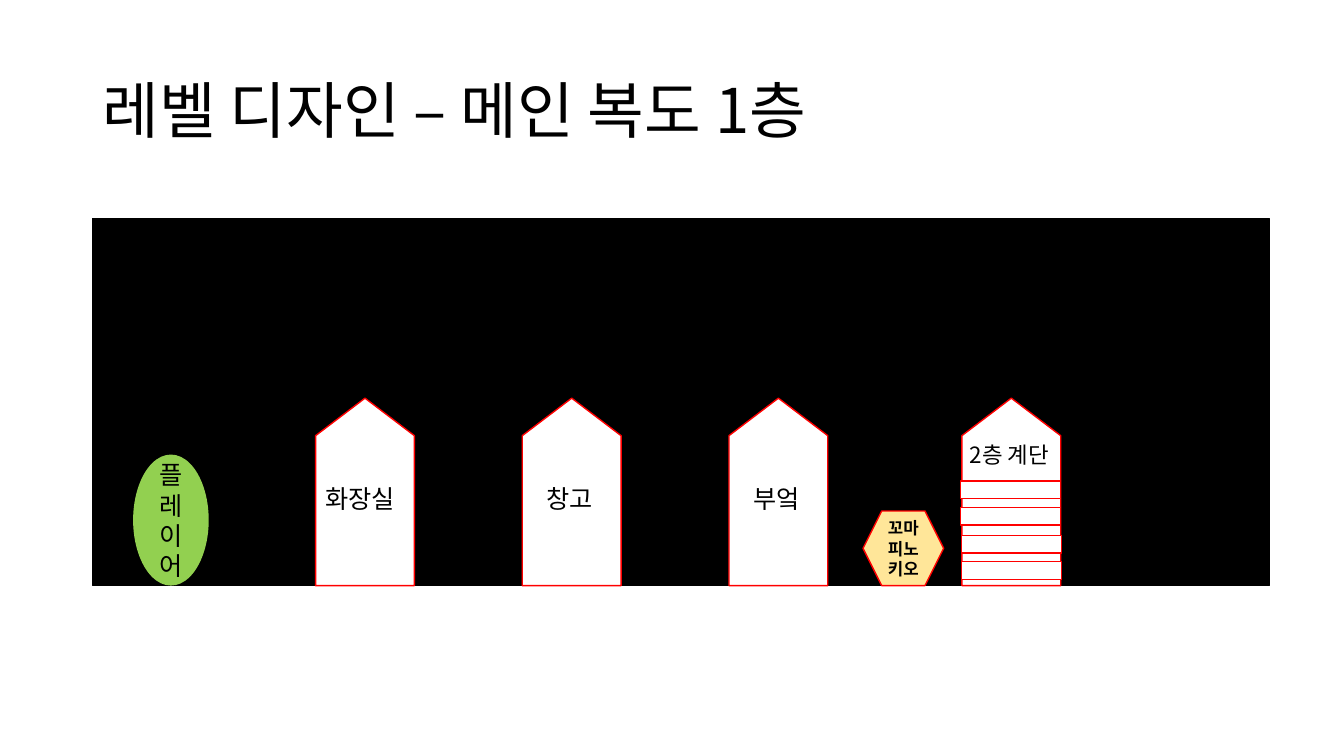
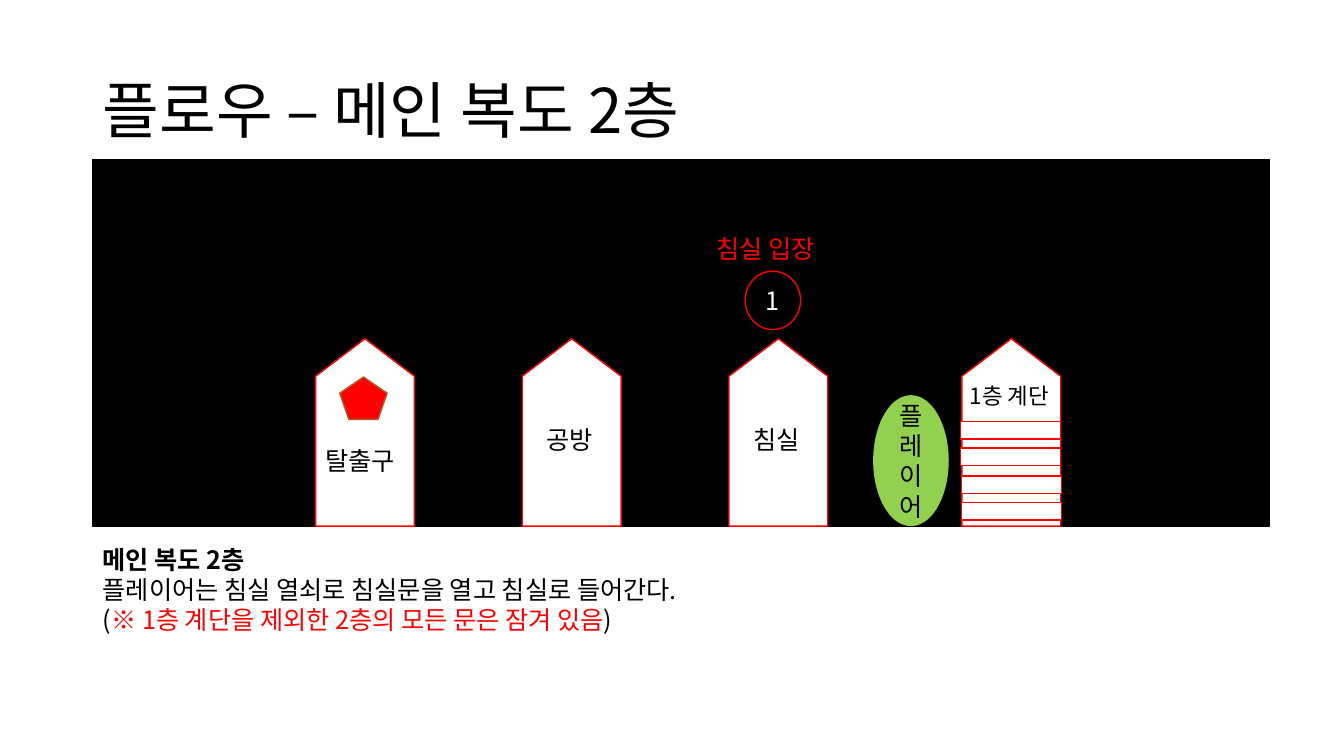
from lxml.etree import SubElement
from pptx import Presentation
from pptx.dml.color import RGBColor
from pptx.enum.shapes import MSO_SHAPE as Shape
from pptx.enum.text import MSO_ANCHOR as Anchor, PP_ALIGN as Align
from pptx.oxml.ns import qn
from pptx.util import Inches, Pt

FONT = "Noto Sans CJK KR"
COLORS = {
    "black": "000000",
    "white": "FFFFFF",
    "red": "FF0000",
    "player": "92D050",
    "character": "FFE699",
    "brown": "AF5C24",
}

# Layout shared by both corridors; heights are measured from the corridor top
DOOR_LEFTS = [3.13, 5.18, 7.23, 9.54]
DOOR_TOP, DOOR_WIDTH, DOOR_HEIGHT = 1.78, 0.98, 1.86
LABEL_LEFTS = [3.13, 5.32, 7.37]
STEPS = [(9.36, 2.99), (9.35, 2.45)]

FLOORS = [
    {"title": "레벨 디자인 – 메인 복도 1층", "top": 2.17, "player": 1.32,
     "rooms": [("화장실", 2.58), ("창고", 2.58), ("부엌", 2.58)],
     "stairs": "2층 계단"},
    {"title": "플로우 – 메인 복도 2층", "top": 1.58, "player": 8.66,
     "rooms": [("탈출구", 2.79), ("공방", 2.58), ("침실", 2.58)],
     "stairs": "1층 계단"},
]


def add_box(slide, kind, left, top, width, height, fill=None, line=None):
    """Add a preset shape, or a text box when kind is None."""
    place = [Inches(value) for value in (left, top, width, height)]
    if kind is None:
        return slide.shapes.add_textbox(*place)
    shape = slide.shapes.add_shape(kind, *place)
    shape.shadow.inherit = False
    if fill:
        shape.fill.solid()
        shape.fill.fore_color.rgb = RGBColor.from_string(COLORS[fill])
    else:
        shape.fill.background()
    if line:
        shape.line.color.rgb = RGBColor.from_string(COLORS[line])
        shape.line.width = Pt(1)
    else:
        shape.line.fill.background()
    return shape


def write(shape, lines, size=18, color="black", bold=False, align=Align.LEFT):
    """Write one paragraph per line and return the paragraphs."""
    frame = shape.text_frame
    frame.word_wrap = True
    frame.text = "\n".join(lines)
    for paragraph in frame.paragraphs:
        paragraph.alignment = align
        font = paragraph.font
        font.name, font.size, font.bold = FONT, Pt(size), bold
        font.color.rgb = RGBColor.from_string(COLORS[color])
    # Hangul takes its typeface from the East Asian font
    for properties in frame._txBody.iter(qn("a:defRPr")):
        SubElement(properties, qn("a:ea"), typeface=FONT)
    return frame.paragraphs


presentation = Presentation()
presentation.slide_width = Inches(13.33)
presentation.slide_height = Inches(7.5)

slides = []
for floor in FLOORS:
    slide = presentation.slides.add_slide(presentation.slide_layouts[6])
    slides.append(slide)
    top = floor["top"]

    # Title
    title = add_box(slide, None, 0.92, 0.4, 11.5, 1.45)
    title.text_frame.vertical_anchor = Anchor.MIDDLE
    write(title, [floor["title"]], size=44)[0].line_spacing = 0.9

    # Corridor, doors and stair steps
    add_box(slide, Shape.RECTANGLE, 0.92, top, 11.67, 3.64, "black", "black")
    for left in DOOR_LEFTS:
        door = add_box(slide, Shape.FLOWCHART_OFFPAGE_CONNECTOR, left, top + DOOR_TOP,
                       DOOR_WIDTH, DOOR_HEIGHT, "white", "red")
        door.rotation = 180
    for left, drop in STEPS:
        add_box(slide, Shape.MATH_EQUAL, left, top + drop, 1.35, 0.74, "white", "red")

    # Player
    player = add_box(slide, Shape.OVAL, floor["player"], top + 2.34, 0.75, 1.3, "player")
    write(player, ["플레이어"], align=Align.CENTER)

    # Door labels
    for left, (room, drop) in zip(LABEL_LEFTS, floor["rooms"]):
        write(add_box(slide, None, left, top + drop, 0.98, 0.42), [room])
    write(add_box(slide, None, 9.52, top + 2.16, 1.11, 0.37), [floor["stairs"]], size=16)

first_floor, second_floor = slides

# First floor: character beside the stairs
character = add_box(first_floor, Shape.HEXAGON, 8.56, 5.07, 0.8, 0.74, "character", "red")
write(character, ["꼬마 피노키오"], size=12, bold=True, align=Align.CENTER)

# Second floor: exit marker
add_box(second_floor, Shape.REGULAR_PENTAGON, 3.37, 3.74, 0.47, 0.42, "red", "brown")

# Second floor: description
description = add_box(second_floor, None, 0.92, 5.35, 11.67, 1.01)
heading, action, notice = write(description, [
    "메인 복도 2층",
    "플레이어는 침실 열쇠로 침실문을 열고 침실로 들어간다.",
    "(",
])
heading.font.bold = True
warning = notice.add_run()
warning.text = "※ 1층 계단을 제외한 2층의 모든 문은 잠겨 있음"
warning.font.color.rgb = RGBColor.from_string(COLORS["red"])
notice.add_run().text = ")"

# Second floor: numbered step above the bedroom
step = add_box(second_floor, Shape.OVAL, 7.39, 2.69, 0.55, 0.58, line="red")
write(step, ["1"], color="white", align=Align.CENTER)
write(add_box(second_floor, None, 7.01, 2.27, 1.39, 0.4), ["침실 입장"], color="red")

presentation.save("out.pptx")
